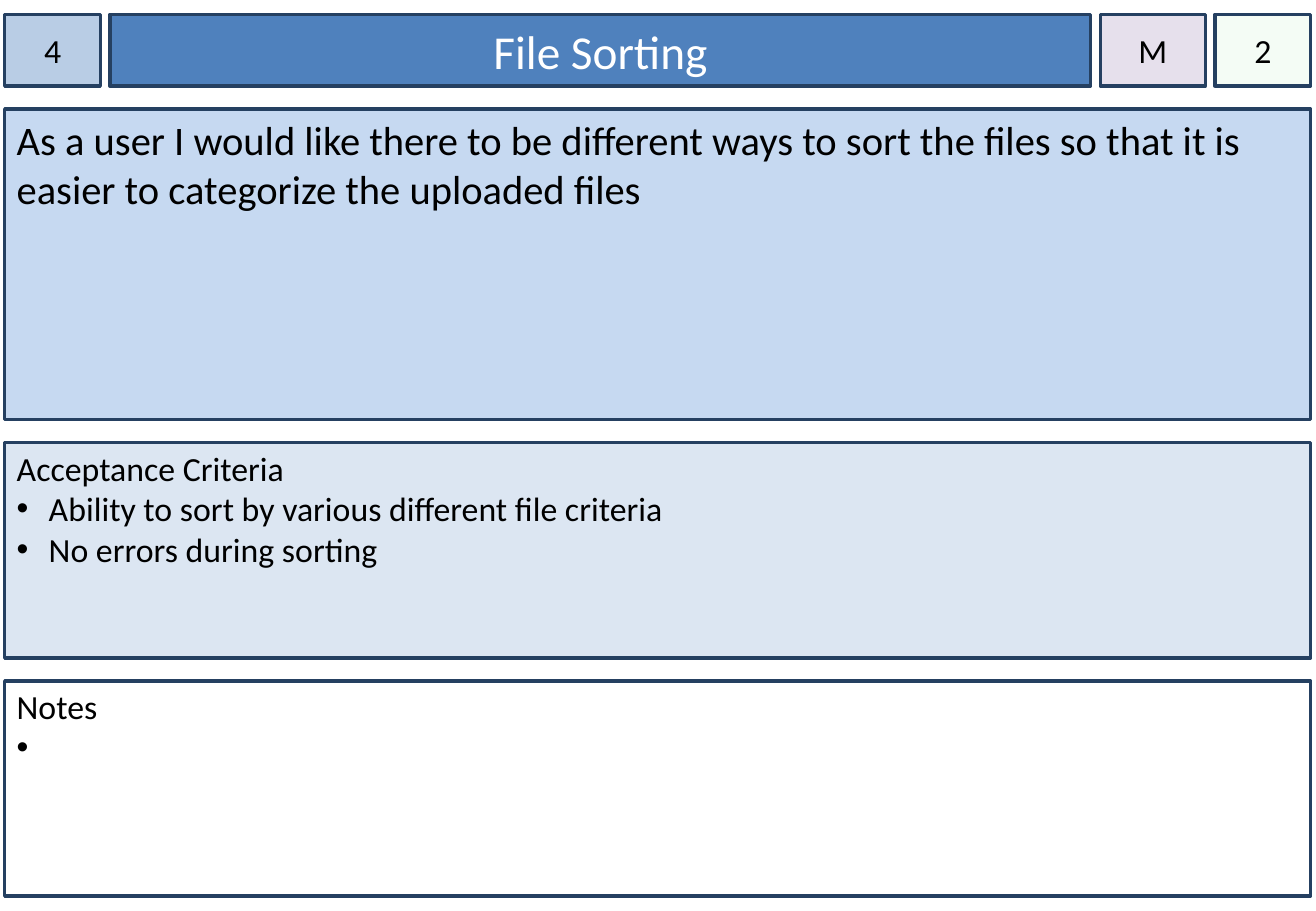
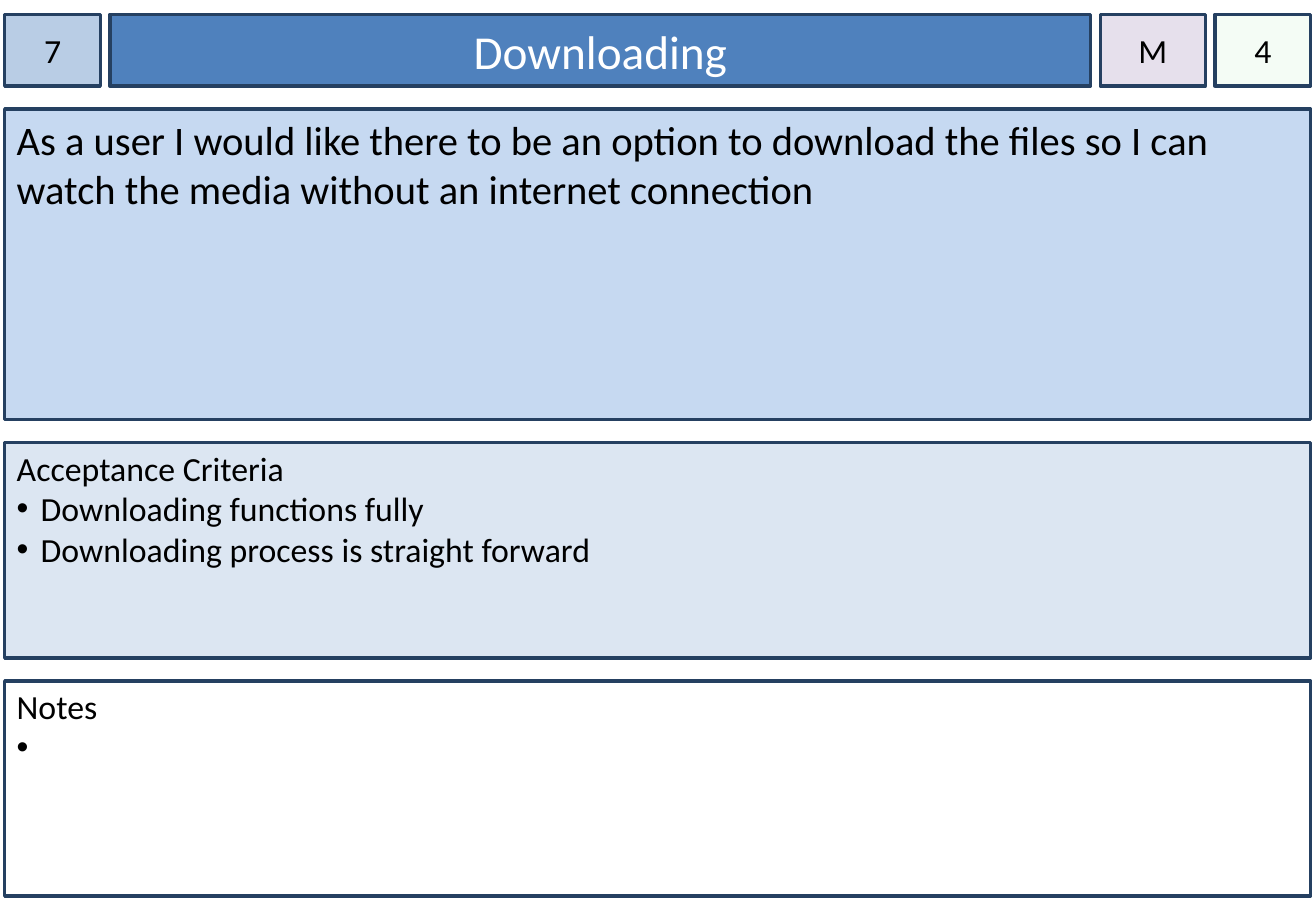
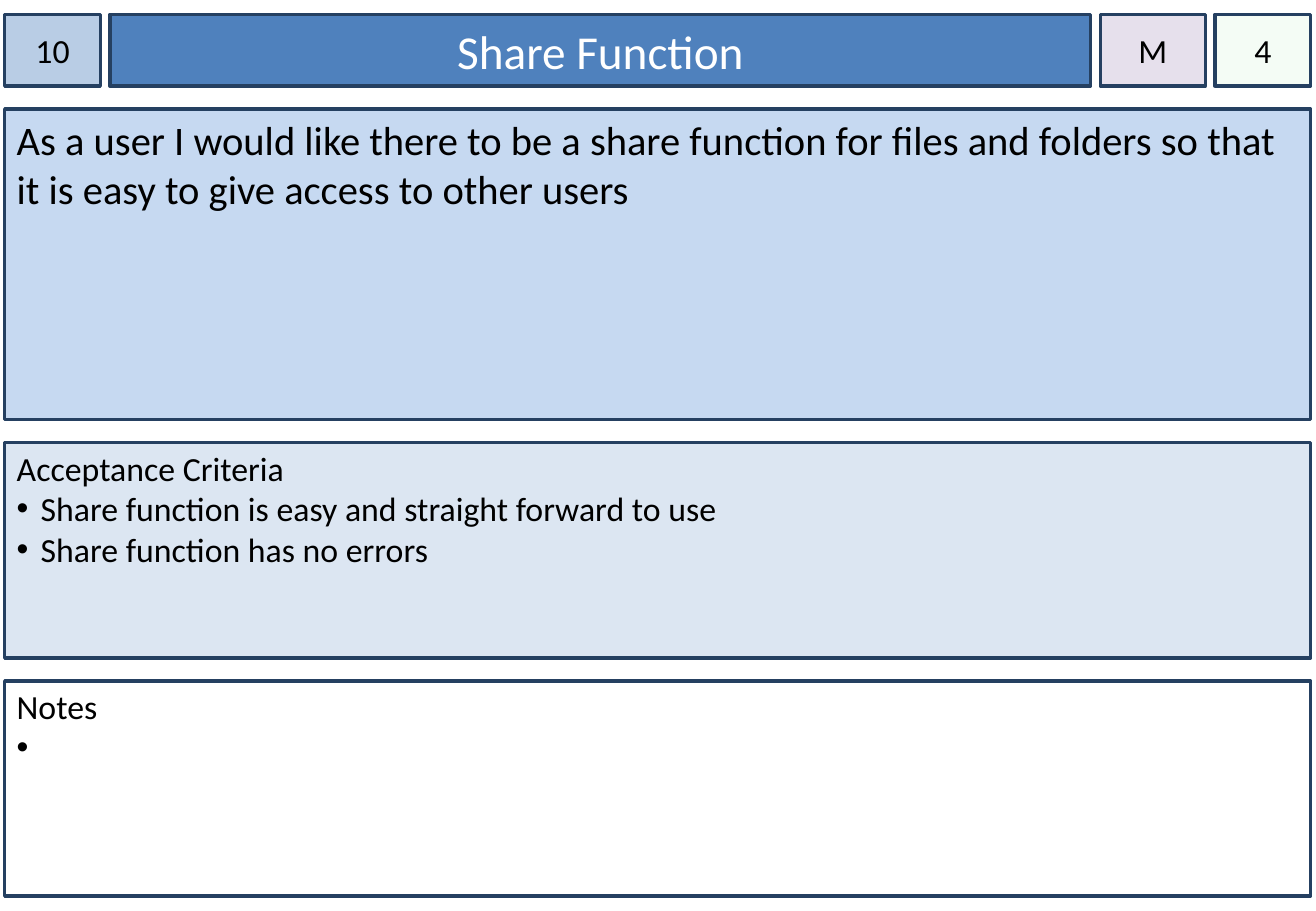
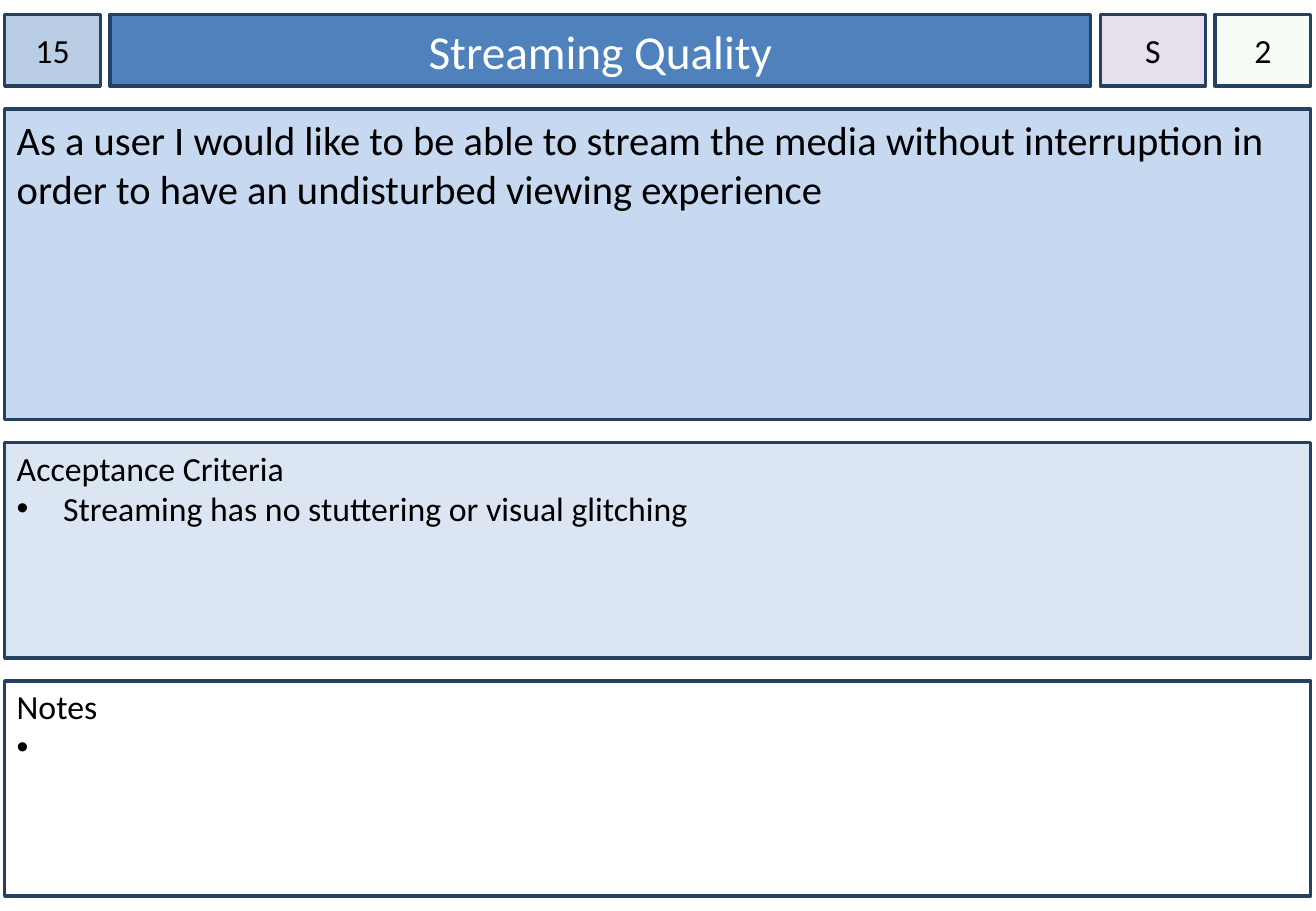
"""Build a deck of user story cards."""
from dataclasses import dataclass

from lxml import etree
from pptx import Presentation
from pptx.dml.color import RGBColor
from pptx.enum.shapes import MSO_SHAPE
from pptx.enum.text import MSO_ANCHOR, PP_ALIGN
from pptx.oxml.ns import qn
from pptx.util import Cm, Pt

RECTANGLE = MSO_SHAPE.RECTANGLE
TOP, MIDDLE = MSO_ANCHOR.TOP, MSO_ANCHOR.MIDDLE
LEFT, CENTER = PP_ALIGN.LEFT, PP_ALIGN.CENTER

BLACK = RGBColor(0x00, 0x00, 0x00)
WHITE = RGBColor(0xFF, 0xFF, 0xFF)
NAVY = RGBColor(0x25, 0x40, 0x61)
TITLE_BLUE = RGBColor(0x4F, 0x81, 0xBD)
NUMBER_BLUE = RGBColor(0xB9, 0xCD, 0xE5)
STORY_BLUE = RGBColor(0xC6, 0xD9, 0xF1)
CRITERIA_BLUE = RGBColor(0xDC, 0xE6, 0xF2)
PRIORITY_LILAC = RGBColor(0xE6, 0xE0, 0xEC)
ESTIMATE_GREEN = RGBColor(0xCC, 0xF0, 0xCD)

FONT = "Calibri"
MARGIN = 0.1
HEADER_TOP, HEADER_HEIGHT = 0.3, 1.5
COLUMN_GAP, ROW_GAP = 0.2, 0.48
PANEL_WIDTH = 27.3
BULLET_INDENT = 0.5


@dataclass(frozen=True)
class Card:
    number: str
    title: str
    priority: str
    estimate: str
    story: str
    criteria: tuple[str, ...]
    indent: float = BULLET_INDENT


@dataclass(frozen=True)
class BoxStyle:
    size: float
    fill: RGBColor
    font_size: int = 20
    color: RGBColor = BLACK
    align: PP_ALIGN = LEFT
    anchor: MSO_ANCHOR = TOP
    side_inset: float = 0.25
    top_inset: float = 0.13
    wrap: bool = True
    opacity: int = 100


NUMBER = BoxStyle(2, NUMBER_BLUE, align=CENTER, anchor=MIDDLE, side_inset=0)
TITLE = BoxStyle(20.5, TITLE_BLUE, 28, WHITE, CENTER, MIDDLE)
PRIORITY = BoxStyle(2.2, PRIORITY_LILAC, align=CENTER, anchor=MIDDLE, side_inset=0, wrap=False)
ESTIMATE = BoxStyle(2, ESTIMATE_GREEN, align=CENTER, anchor=MIDDLE, side_inset=0, opacity=20)
STORY = BoxStyle(6.5, STORY_BLUE, 24)
CRITERIA = BoxStyle(4.5, CRITERIA_BLUE, top_inset=0.1)
NOTES = BoxStyle(4.5, WHITE, top_inset=0.1)

CARDS = (
    Card("4", "File Sorting", "M", "2",
         "As a user I would like there to be different ways to sort the files "
         "so that it is easier to categorize the uploaded files",
         ("Ability to sort by various different file criteria", "No errors during sorting"),
         indent=0.67),
    Card("7", "Downloading", "M", "4",
         "As a user I would like there to be an option to download the files "
         "so I can watch the media without an internet connection",
         ("Downloading functions fully", "Downloading process is straight forward")),
    Card("10", "Share Function", "M", "4",
         "As a user I would like there to be a share function for files and folders "
         "so that it is easy to give access to other users",
         ("Share function is easy and straight forward to use", "Share function has no errors")),
    Card("15", "Streaming Quality", "S", "2",
         "As a user I would like to be able to stream the media without interruption "
         "in order to have an undisturbed viewing experience",
         ("Streaming has no stuttering or visual glitching",),
         indent=0.97),
)


def set_opacity(box, percent: int) -> None:
    color = box.element.spPr.find(qn("a:solidFill"))[0]
    etree.SubElement(color, qn("a:alpha"), val=str(percent * 1000))


def add_bullet(para, indent: float) -> None:
    properties = para._p.get_or_add_pPr()
    properties.set("marL", str(Cm(indent)))
    properties.set("indent", str(-Cm(indent)))
    etree.SubElement(properties, qn("a:buFont"), typeface="Arial")
    etree.SubElement(properties, qn("a:buChar"), char="•")


def add_box(page, left: float, top: float, width: float, height: float, style: BoxStyle,
            text: str, bullets: tuple[str, ...] = (), indent: float = BULLET_INDENT) -> None:
    box = page.shapes.add_shape(RECTANGLE, Cm(left), Cm(top), Cm(width), Cm(height))
    box.shadow.inherit = False
    box.fill.solid()
    box.fill.fore_color.rgb = style.fill
    if style.opacity < 100:
        set_opacity(box, style.opacity)
    box.line.color.rgb = NAVY
    box.line.width = Pt(2)
    frame = box.text_frame
    frame.word_wrap = style.wrap
    frame.vertical_anchor = style.anchor
    frame.margin_left = frame.margin_right = Cm(style.side_inset)
    frame.margin_top, frame.margin_bottom = Cm(style.top_inset), Cm(0.13)
    frame.text = "\n".join((text, *bullets))
    for position, para in enumerate(frame.paragraphs):
        para.alignment = style.align
        if position > 0:
            add_bullet(para, indent)
        for span in para.runs:
            span.font.name = FONT
            span.font.size = Pt(style.font_size)
            span.font.color.rgb = style.color


def add_card(page, card: Card) -> None:
    header = ((NUMBER, card.number), (TITLE, card.title),
              (PRIORITY, card.priority), (ESTIMATE, card.estimate))
    left = MARGIN
    for style, text in header:
        add_box(page, left, HEADER_TOP, style.size, HEADER_HEIGHT, style, text)
        left += style.size + COLUMN_GAP

    panels = ((STORY, card.story, ()),
              (CRITERIA, "Acceptance Criteria", card.criteria),
              (NOTES, "Notes", (" ",)))
    top = HEADER_TOP + HEADER_HEIGHT + ROW_GAP
    for style, text, bullets in panels:
        indent = card.indent if style is CRITERIA else BULLET_INDENT
        add_box(page, MARGIN, top, PANEL_WIDTH, style.size, style, text, bullets, indent)
        top += style.size + ROW_GAP


def main() -> None:
    deck = Presentation()
    deck.slide_width, deck.slide_height = Cm(27.51), Cm(19.05)
    blank = deck.slide_layouts[6]
    for card in CARDS:
        add_card(deck.slides.add_slide(blank), card)
    deck.save("out.pptx")


if __name__ == "__main__":
    main()
